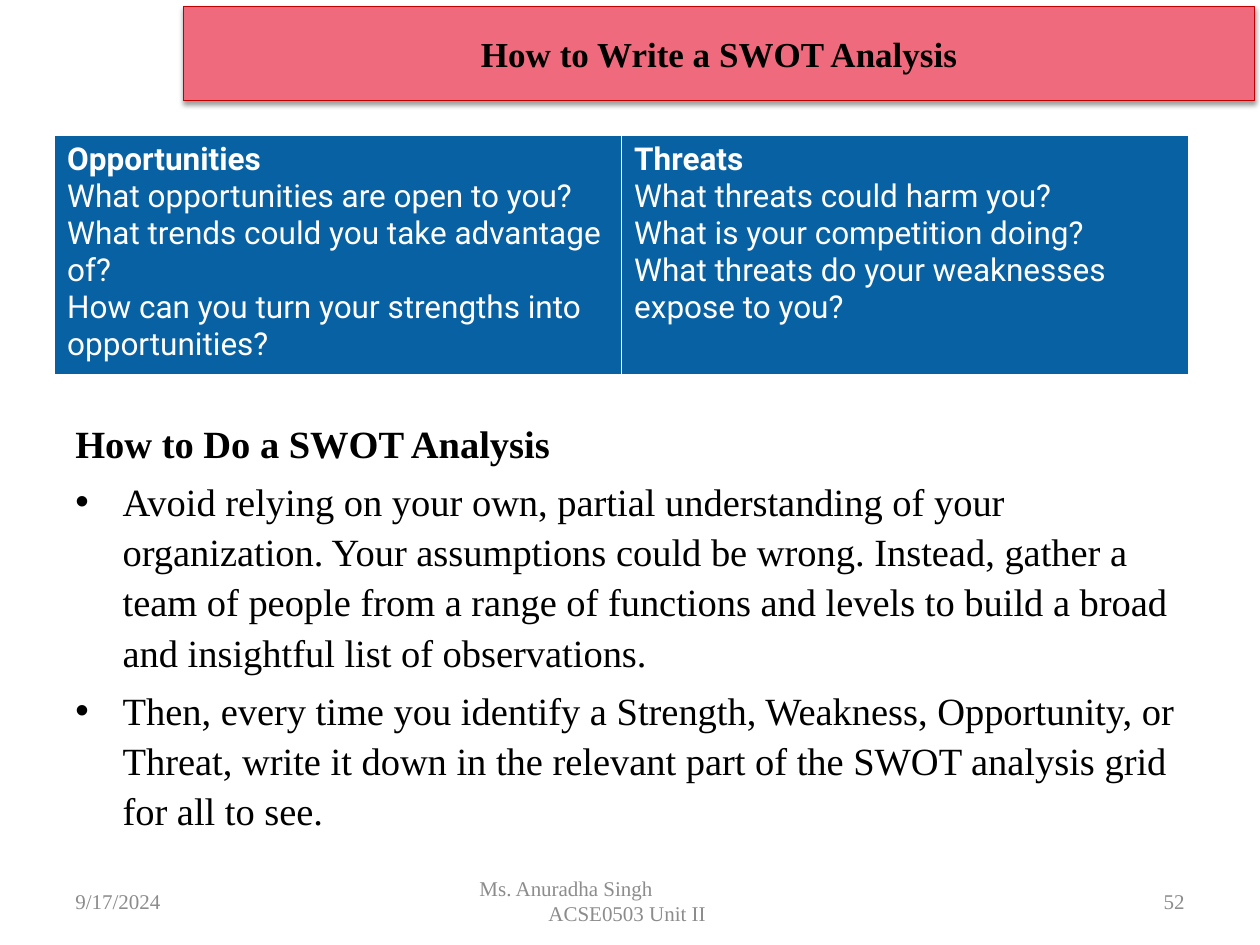
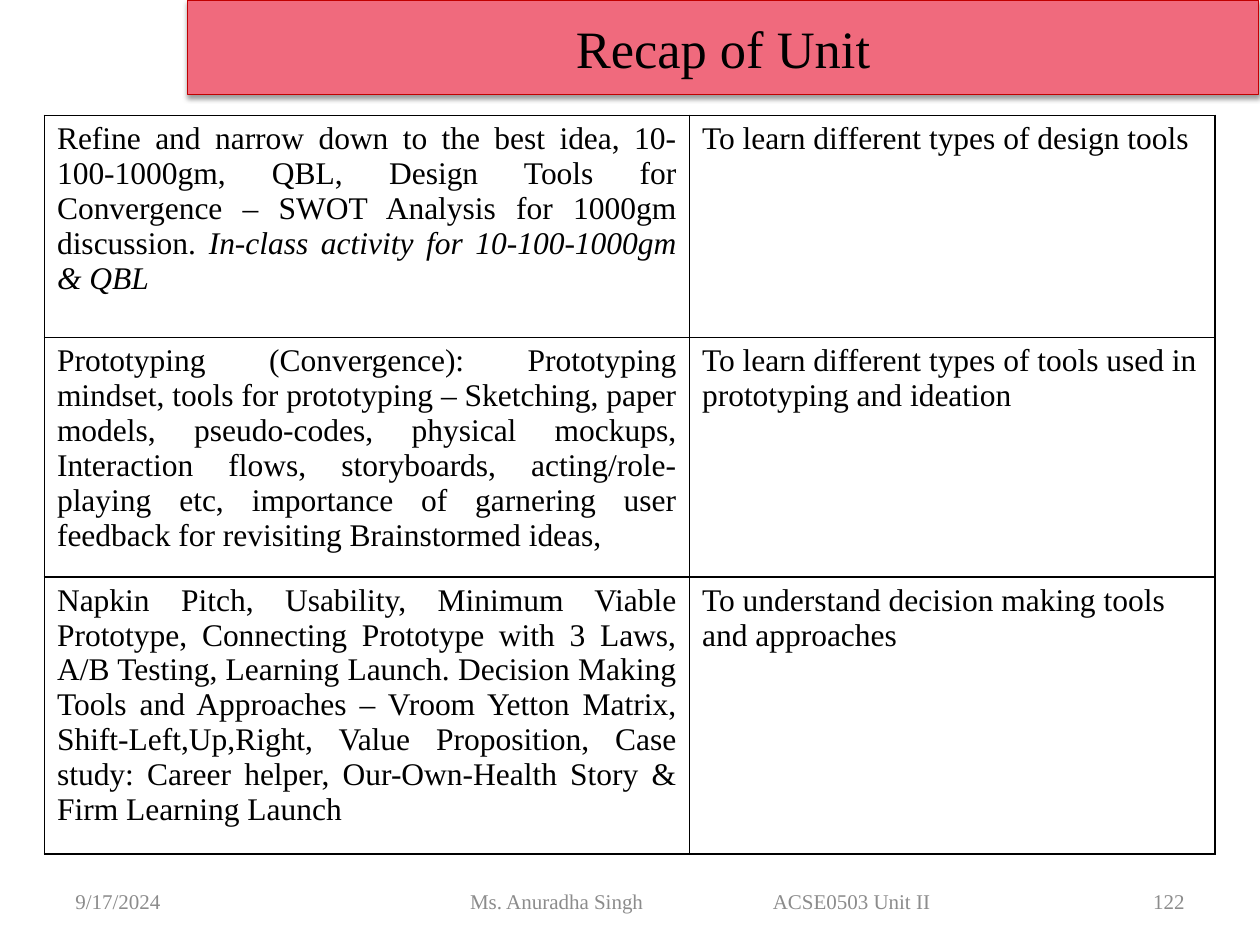
import pptx
import pptx.dml.color
import pptx.enum.shapes
import pptx.enum.text
import pptx.oxml
import pptx.oxml.ns
import pptx.util
from lxml import etree

Pt = pptx.util.Pt
ALIGN = pptx.enum.text.PP_ALIGN
MIDDLE = pptx.enum.text.MSO_ANCHOR.MIDDLE
SERIF, SANS = "Times New Roman", "Roboto"
BLACK, WHITE, GREY = "000000", "FFFFFF", "8C8C8C"
PINK, RED, BLUE = "F06A7D", "C00000", "0861A2"
DATE, TEACHER, COURSE = "9/17/2024", "Ms. Anuradha Singh", "ACSE0503 Unit II"


def rgb(value):
    return pptx.dml.color.RGBColor.from_string(value)


def sub(parent, tag, **attrs):
    """Add a child element such as a:ln, with its attributes."""
    child = etree.SubElement(parent, pptx.oxml.ns.qn(tag))
    for name, value in attrs.items():
        child.set(name, str(value))
    return child


def write(p, text, size=18, font=SERIF, color=BLACK, bold=False, italic=False, align=ALIGN.LEFT):
    """Add text to a paragraph, breaking the line at each newline."""
    p.alignment = align
    for i, line in enumerate(text.split("\n")):
        if i:
            p.add_line_break()
        r = p.add_run()
        r.text = line
        r.font.size, r.font.name = Pt(size), font
        r.font.bold, r.font.italic = bold, italic
        r.font.color.rgb = rgb(color)


def add_box(s, left, top, width, height, anchor=MIDDLE):
    """Add an empty wrapping text box and return its text frame."""
    tf = s.shapes.add_textbox(Pt(left), Pt(top), Pt(width), Pt(height)).text_frame
    tf.word_wrap = True
    tf.vertical_anchor = anchor
    return tf


def add_title(s, text, left, top, size, bold=False):
    sp = s.shapes.add_shape(pptx.enum.shapes.MSO_SHAPE.RECTANGLE,
                            Pt(left), Pt(top), Pt(612), Pt(54))
    sp.fill.solid()
    sp.fill.fore_color.rgb = rgb(PINK)
    sp.line.color.rgb = rgb(RED)
    sp.line.width = Pt(0.75)
    sp.shadow.inherit = False
    effects = sp._element.spPr.find(pptx.oxml.ns.qn("a:effectLst"))
    shadow = sub(effects, "a:outerShdw", blurRad=Pt(3.1), dist=Pt(1.6), dir=5400000, rotWithShape=0)
    sub(sub(shadow, "a:srgbClr", val=BLACK), "a:alpha", val=38000)
    tf = sp.text_frame
    tf.word_wrap = True
    tf.vertical_anchor = MIDDLE
    write(tf.paragraphs[0], text, size=size, bold=bold, align=ALIGN.CENTER)


def add_footer(s, number):
    """Add date and page number; return the formats shared with the middle text."""
    style = dict(size=12, color=GREY)
    for text, left, align in ((DATE, 36, ALIGN.LEFT), (number, 516, ALIGN.RIGHT)):
        write(add_box(s, left, 500.4, 168, 28.8).paragraphs[0], text, align=align, **style)
    return style


def add_stacked_footer(s, number):
    style = add_footer(s, number)
    tf = add_box(s, 246, 500.4, 228, 28.8)
    tf.margin_left = Pt(28)
    write(tf.paragraphs[0], TEACHER, **style)
    p = tf.add_paragraph()
    p._p.get_or_add_pPr().set("marL", str(Pt(39.4)))
    write(p, COURSE, **style)


def add_inline_footer(s, number):
    style = add_footer(s, number)
    tf = add_box(s, 198, 500.4, 408, 28.8)
    tf.margin_left = Pt(70.6)
    p = tf.paragraphs[0]
    sub(sub(p._p.get_or_add_pPr(), "a:tabLst"), "a:tab", pos=Pt(173), algn="l")
    write(p, f"{TEACHER}\t{COURSE}", **style)


def add_bullets(s, heading, items):
    tf = add_box(s, 36, 234, 648, 248, pptx.enum.text.MSO_ANCHOR.TOP)
    write(tf.paragraphs[0], heading, size=22, bold=True)
    for item in items:
        p = tf.add_paragraph()
        pPr = p._p.get_or_add_pPr()
        pPr.set("marL", str(Pt(27)))
        pPr.set("indent", str(Pt(-27)))
        sub(pPr, "a:buFont", typeface="Arial")
        sub(pPr, "a:buChar", char="•")
        p.space_before = Pt(4.4)
        write(p, item, size=22)
    for p in tf.paragraphs:
        p.line_spacing = 1.09


def style_cell(cell, border, width, fill=None):
    tcPr = cell._tc.get_or_add_tcPr()
    for side in "LRTB":
        line = sub(tcPr, f"a:ln{side}", w=Pt(width))
        sub(sub(line, "a:solidFill"), "a:srgbClr", val=border)
    if fill:
        cell.fill.solid()
        cell.fill.fore_color.rgb = rgb(fill)
    else:
        cell.fill.background()


def add_table(s, left, top, widths, heights, rows, border, line_width, fill=None):
    """Add a table whose cells are lists of (text, format) runs."""
    table = s.shapes.add_table(len(heights), len(widths), Pt(left), Pt(top),
                               Pt(sum(widths)), Pt(sum(heights))).table
    table.first_row = table.horz_banding = False
    for col, width in zip(table.columns, widths):
        col.width = Pt(width)
    for row, height, contents in zip(table.rows, heights, rows):
        row.height = Pt(height)
        for cell, runs in zip(row.cells, contents):
            style_cell(cell, border, line_width, fill)
            for text, fmt in runs:
                write(cell.text_frame.paragraphs[0], text, **fmt)


def swot_cell(heading, questions):
    style = dict(font=SANS, color=WHITE)
    return [(heading + "\n", dict(style, bold=True)), ("\n".join(questions), style)]


def build_swot(s):
    add_title(s, "How to Write a SWOT Analysis", 105, 3.6, 20, bold=True)
    add_stacked_footer(s, "52")
    add_bullets(s, "How to Do a SWOT Analysis", [
        "Avoid relying on your own, partial understanding of your organization. Your assumptions "
        "could be wrong. Instead, gather a team of people from a range of functions and levels to "
        "build a broad and insightful list of observations.",
        "Then, every time you identify a Strength, Weakness, Opportunity, or Threat, write it down "
        "in the relevant part of the SWOT analysis grid for all to see."])
    cells = [
        swot_cell("Opportunities", ["What opportunities are open to you?",
                                    "What trends could you take advantage of?",
                                    "How can you turn your strengths into opportunities?"]),
        swot_cell("Threats", ["What threats could harm you?",
                              "What is your competition doing?",
                              "What threats do your weaknesses expose to you?"])]
    add_table(s, 31.2, 77.4, [324, 324], [133], [cells], WHITE, 0.6, BLUE)


def build_recap(s):
    add_title(s, "Recap of Unit", 107.3, 0, 30)
    add_inline_footer(s, "122")
    justified = dict(align=ALIGN.JUSTIFY)
    topics = [
        [("Refine and narrow down to the best idea, 10-100-1000gm, QBL, Design Tools for "
          "Convergence – SWOT Analysis for 1000gm discussion. ", justified),
         ("In-class activity for 10-100-1000gm & QBL", dict(justified, italic=True))],
        [("Prototyping (Convergence): Prototyping mindset, tools for prototyping – Sketching, "
          "paper models, pseudo-codes, physical mockups, Interaction flows, storyboards, "
          "acting/role-playing etc, importance of garnering user feedback for revisiting "
          "Brainstormed ideas,", justified)],
        [("Napkin Pitch, Usability, Minimum Viable Prototype, Connecting Prototype with 3 Laws, "
          "A/B Testing, Learning Launch. Decision Making Tools and Approaches – Vroom Yetton "
          "Matrix, Shift-Left,Up,Right, Value Proposition, Case study: Career helper, "
          "Our-Own-Health Story & Firm Learning Launch", justified)]]
    outcomes = ["To learn different types of design tools",
                "To learn different types of tools used in prototyping and ideation",
                "To understand decision making tools and approaches"]
    rows = [[topic, [(outcome, {})]] for topic, outcome in zip(topics, outcomes)]
    add_table(s, 25.4, 66, [368.6, 300.4], [126.8, 126.8, 146.8], rows, BLACK, 1)


def main():
    prs = pptx.Presentation()
    prs.slide_width, prs.slide_height = Pt(720), Pt(540)
    for build in (build_swot, build_recap):
        build(prs.slides.add_slide(prs.slide_layouts[6]))
    prs.save("out.pptx")


if __name__ == "__main__":
    main()
